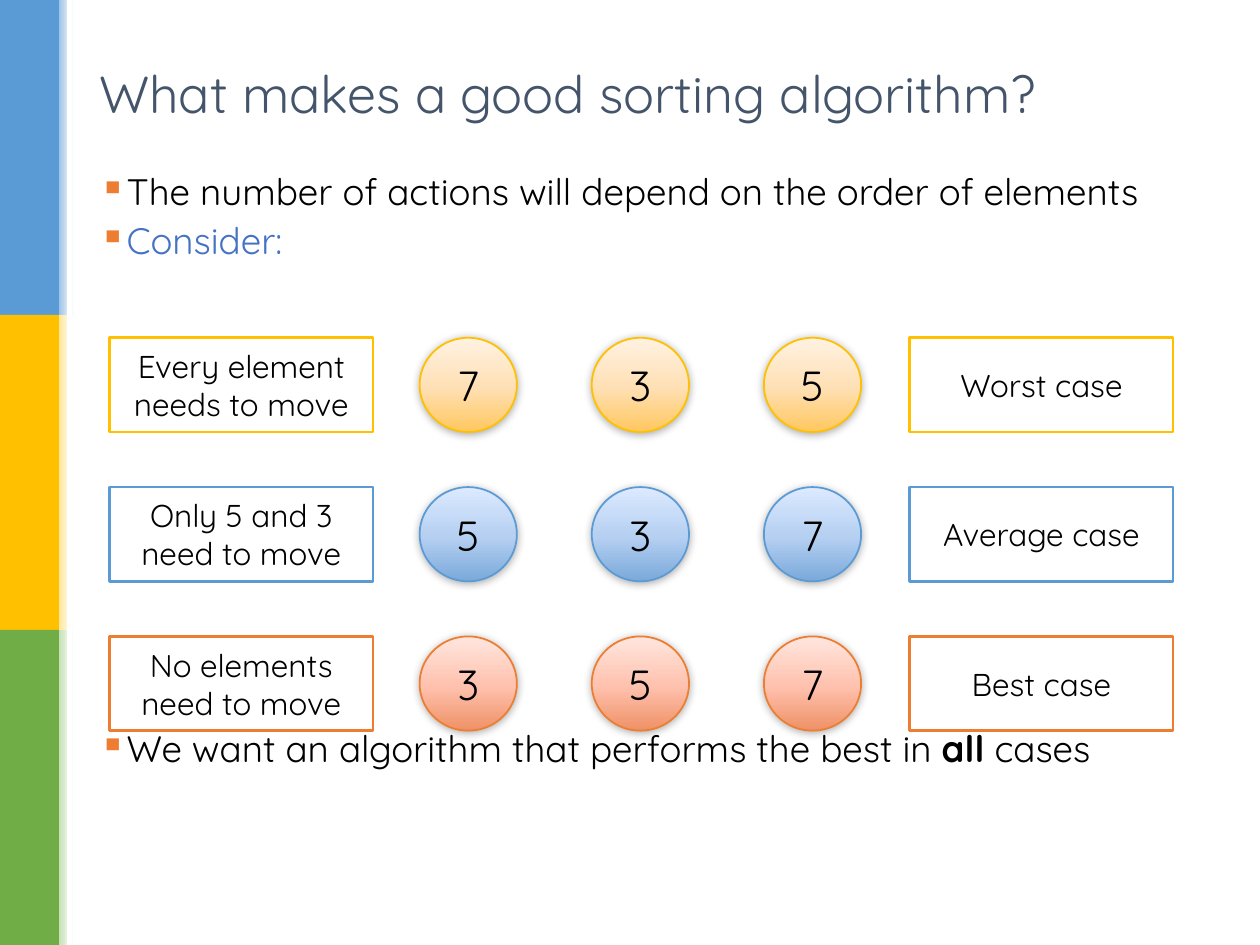
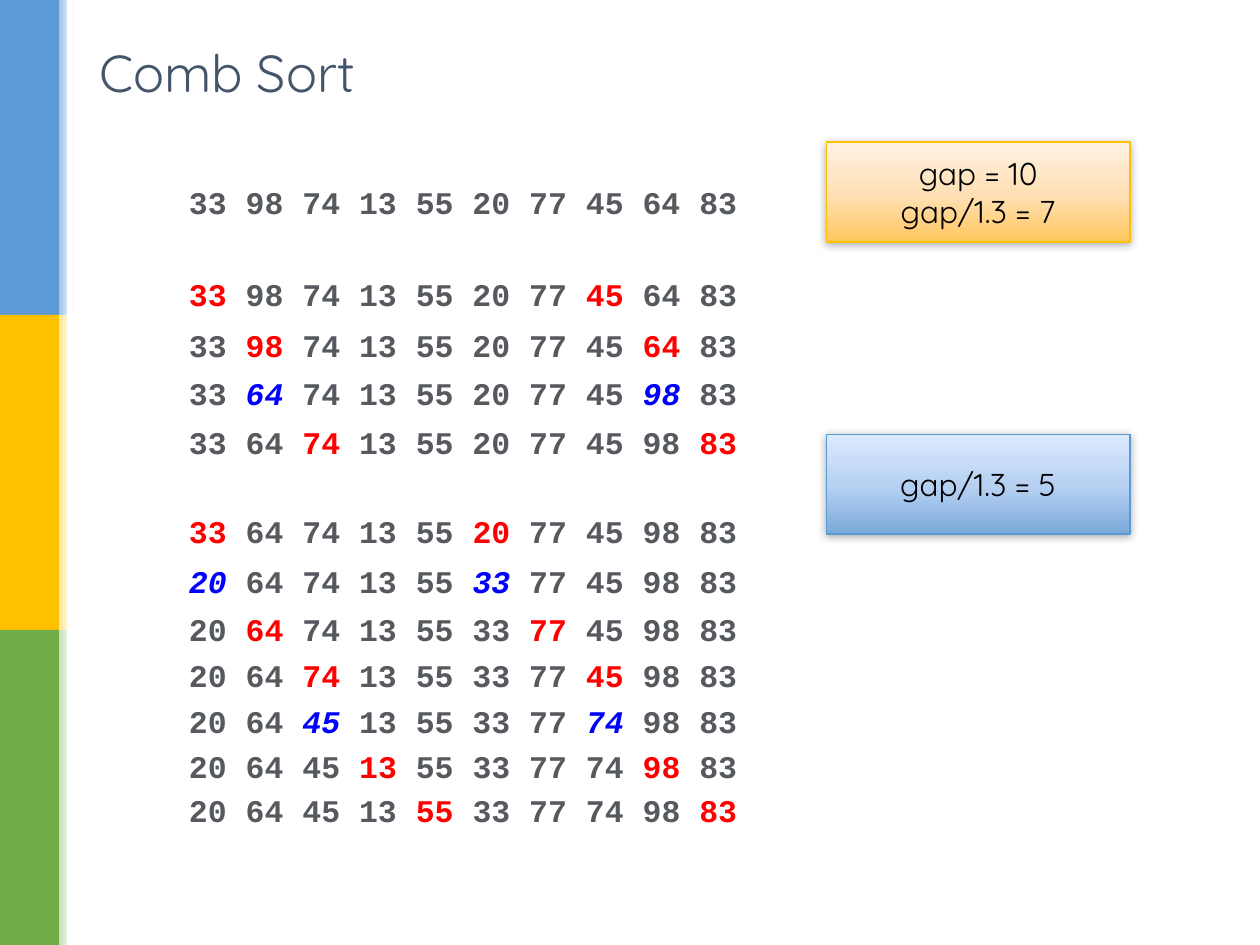
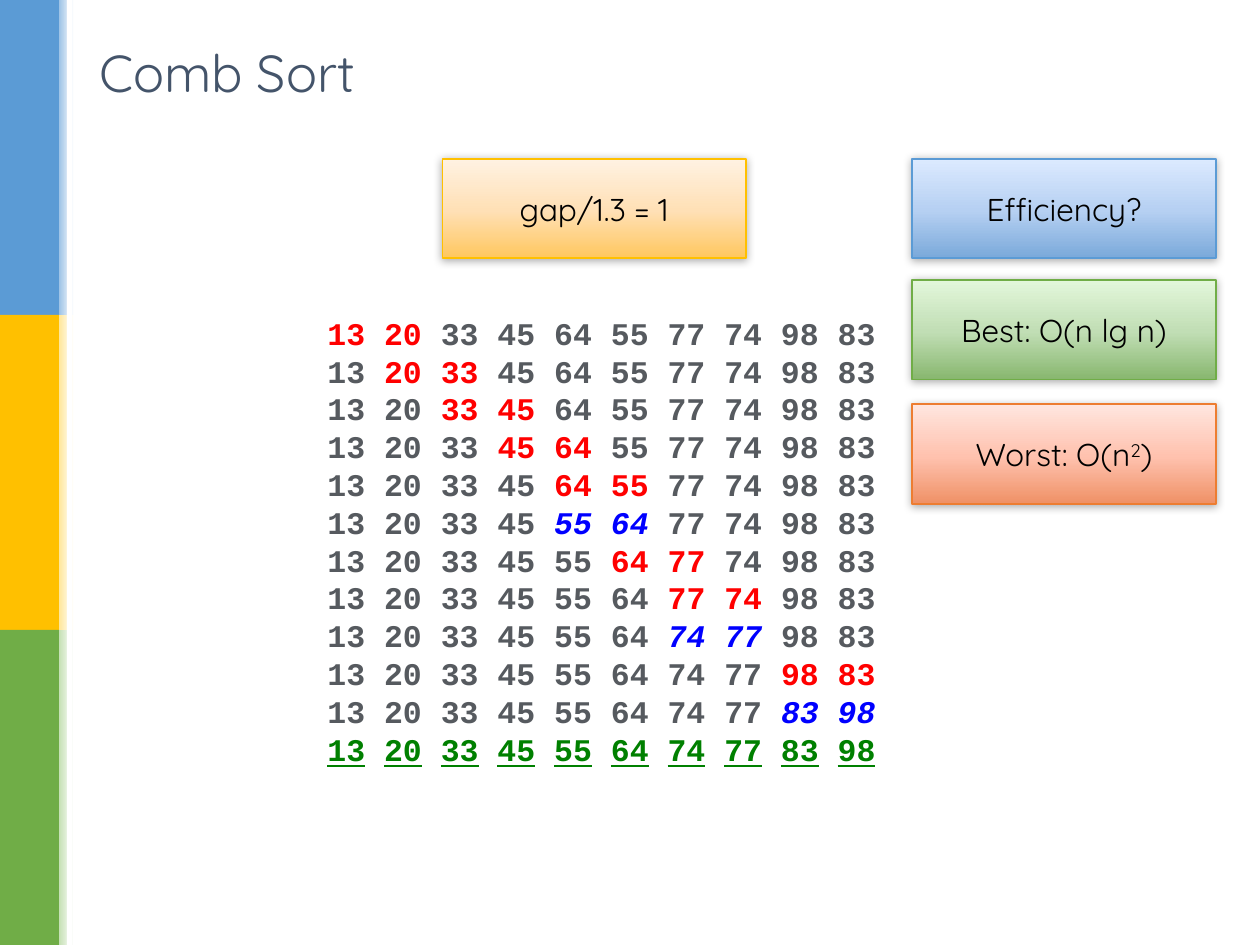
from collections import namedtuple

from lxml.etree import SubElement
from pptx import Presentation
from pptx.dml.color import RGBColor
from pptx.enum.shapes import MSO_SHAPE as Preset
from pptx.enum.text import MSO_ANCHOR as Anchor, PP_ALIGN as Align
from pptx.oxml.ns import qn
from pptx.util import Cm, Pt

WHITE = RGBColor(0xFF, 0xFF, 0xFF)
BLACK = RGBColor(0x00, 0x00, 0x00)
SLATE = RGBColor(0x44, 0x54, 0x6A)
GRAY = RGBColor(0x56, 0x5A, 0x5F)
ACCENT = RGBColor(0x44, 0x72, 0xC4)
COMPARED = RGBColor(0xFF, 0x00, 0x00)
SWAPPED = RGBColor(0x00, 0x00, 0xFF)
SORTED = RGBColor(0x00, 0x80, 0x00)

Tint = namedtuple("Tint", "line dark middle light")
GOLD = Tint(RGBColor(0xFF, 0xC0, 0x00), RGBColor(0xFF, 0xC7, 0x5E),
            RGBColor(0xFF, 0xE0, 0xB6), RGBColor(0xFF, 0xF2, 0xE2))
BLUE = Tint(RGBColor(0x5B, 0x9B, 0xD5), RGBColor(0x7A, 0xA9, 0xDA),
            RGBColor(0xB6, 0xD0, 0xF2), RGBColor(0xDC, 0xEA, 0xFF))
ORANGE = Tint(RGBColor(0xED, 0x7D, 0x31), RGBColor(0xEF, 0x91, 0x66),
              RGBColor(0xFF, 0xC2, 0xAF), RGBColor(0xFF, 0xE6, 0xDF))
GREEN = Tint(RGBColor(0x70, 0xAD, 0x47), RGBColor(0x88, 0xB7, 0x6F),
             RGBColor(0xC1, 0xDE, 0xB5), RGBColor(0xE3, 0xF7, 0xDB))

BANDS = [
    (BLUE.line, RGBColor(0x9D, 0xC3, 0xE6)),
    (GOLD.line, RGBColor(0xFF, 0xE6, 0x99)),
    (GREEN.line, RGBColor(0xC5, 0xE0, 0xB4)),
]
BAND_HEIGHT = 6.35

CASES = [
    (GOLD, "Every element needs to move", "735", "Worst case"),
    (BLUE, "Only 5 and 3 need to move", "537", "Average case"),
    (ORANGE, "No elements need to move", "357", "Best case"),
]

GAP_STEPS = [
    (3.56, "33 98 74 13 55 20 77 45 64 83"),
    (5.41, "!33| 98 74 13 55 20 77 |!45| 64 83"),
    (6.45, "33 |!98| 74 13 55 20 77 45 |!64| 83"),
    (7.42, "33 |~64| 74 13 55 20 77 45 |~98| 83"),
    (8.41, "33 64 |!74| 13 55 20 77 45 98 |!83"),
    (10.19, "!33| 64 74 13 55 |!20| 77 45 98 83"),
    (11.2, "~20| 64 74 13 55 |~33| 77 45 98 83"),
    (12.17, "20 |!64| 74 13 55 33 |!77| 45 98 83"),
    (13.11, "20 64 |!74| 13 55 33 77 |!45| 98 83"),
    (14.02, "20 64 |~45| 13 55 33 77 |~74| 98 83"),
    (14.94, "20 64 45 |!13| 55 33 77 74 |!98| 83"),
    (15.82, "20 64 45 13 |!55| 33 77 74 98 |!83"),
]

LAST_PASS = [
    "!13 20| 33 45 64 55 77 74 98 83",
    "13 |!20 33| 45 64 55 77 74 98 83",
    "13 20 |!33 45| 64 55 77 74 98 83",
    "13 20 33 |!45 64| 55 77 74 98 83",
    "13 20 33 45 |!64 55| 77 74 98 83",
    "13 20 33 45 |~55 64| 77 74 98 83",
    "13 20 33 45 55 |!64 77| 74 98 83",
    "13 20 33 45 55 64 |!77 74| 98 83",
    "13 20 33 45 55 64 |~74 77| 98 83",
    "13 20 33 45 55 64 74 77 |!98 83",
    "13 20 33 45 55 64 74 77 |~83 98",
    "_13| |_20| |_33| |_45| |_55| |_64| |_74| |_77| |_83| |_98",
]


class Deck:
    font = "Quicksand"
    mono = "Courier New"
    marks = "!~_*^"

    def __init__(self):
        self.presentation = Presentation()
        self.presentation.slide_width = Cm(25.4)
        self.presentation.slide_height = Cm(19.05)
        self.slide = None

    def new_slide(self, title, top, height):
        self.slide = self.presentation.slides.add_slide(self.presentation.slide_layouts[6])
        for index, (color, fade) in enumerate(BANDS):
            top_of_band = index * BAND_HEIGHT
            self.block(0, top_of_band, 1.19, BAND_HEIGHT, color)
            strip = self.block(1.19, top_of_band, 0.3, BAND_HEIGHT, color)
            self.gradient(strip, [(0, fade), (100, WHITE)], 0)
        self.block(1.35, 0, 0.1, 3 * BAND_HEIGHT, WHITE)
        text_frame = self.text_box(1.75, top, 21.89, height)
        text_frame.vertical_anchor = Anchor.MIDDLE
        self.put_text(text_frame.paragraphs[0], title, 29.7, SLATE)

    def block(self, left, top, width, height, color, preset=Preset.RECTANGLE):
        shape = self.slide.shapes.add_shape(preset, Cm(left), Cm(top), Cm(width), Cm(height))
        shape.shadow.inherit = False
        shape.fill.solid()
        shape.fill.fore_color.rgb = color
        shape.line.fill.background()
        return shape

    def gradient(self, shape, stops, angle):
        shape.fill.gradient()
        shape.fill.gradient_angle = angle
        stop_list = next(shape._element.spPr.iter(qn("a:gsLst")))
        for stop in list(stop_list):
            stop_list.remove(stop)
        for position, color in stops:
            stop = SubElement(stop_list, qn("a:gs"), pos=str(position * 1000))
            SubElement(stop, qn("a:srgbClr"), val=str(color))

    def drop_shadow(self, shape):
        effects = shape._element.spPr.find(qn("a:effectLst"))
        shadow = SubElement(effects, qn("a:outerShdw"), blurRad=str(Pt(5)), dist=str(Pt(1)),
                            dir="5400000", algn="ctr", rotWithShape="0")
        color = SubElement(shadow, qn("a:srgbClr"), val=str(BLACK))
        SubElement(color, qn("a:alpha"), val="32000")

    def outline(self, shape, color, width):
        shape.line.color.rgb = color
        shape.line.width = Pt(width)

    def label(self, shape, lines, size):
        text_frame = shape.text_frame
        text_frame.word_wrap = True
        text_frame.vertical_anchor = Anchor.MIDDLE
        self.put_lines(text_frame, lines, size, BLACK)
        for paragraph in text_frame.paragraphs:
            paragraph.alignment = Align.CENTER

    def frame(self, left, top, text, tint):
        shape = self.block(left, top, 5.31, 1.9, WHITE)
        self.outline(shape, tint.line, 1.5)
        self.label(shape, [text], 18)

    def glossy(self, left, top, width, height, lines, tint, size=18, preset=Preset.RECTANGLE):
        shape = self.block(left, top, width, height, tint.middle, preset)
        self.gradient(shape, [(0, tint.dark), (48, tint.middle), (100, tint.light)], 90)
        self.outline(shape, tint.line, 1)
        self.drop_shadow(shape)
        self.label(shape, lines, size)

    def ball(self, left, top, number, tint):
        self.glossy(left, top, 1.96, 1.9, [number], tint, 24, Preset.OVAL)

    def card(self, left, top, lines, tint):
        self.glossy(left, top, 6.12, 2.01, lines, tint)

    def text_box(self, left, top, width, height, wrap=True):
        box = self.slide.shapes.add_textbox(Cm(left), Cm(top), Cm(width), Cm(height))
        box.text_frame.word_wrap = wrap
        return box.text_frame

    def bullets(self, top, height, items):
        text_frame = self.text_box(1.75, top, 21.89, height)
        self.put_lines(text_frame, [text for text, color in items], 21, BLACK)
        for paragraph, (text, color) in zip(text_frame.paragraphs, items):
            paragraph.line_spacing = 0.9
            paragraph.space_before = Pt(5.3)
            for run in paragraph.runs:
                run.font.color.rgb = color
            properties = paragraph._p.get_or_add_pPr()
            properties.set("marL", str(Cm(0.48)))
            properties.set("indent", str(-Cm(0.48)))
            bullet_color = SubElement(properties, qn("a:buClr"))
            SubElement(bullet_color, qn("a:srgbClr"), val=str(ORANGE.line))
            SubElement(properties, qn("a:buChar"), char="▪")

    def numbers(self, left, top, width, height, rows, wrap):
        text_frame = self.text_box(left, top, width, height, wrap)
        self.put_lines(text_frame, rows, 18, GRAY, self.mono, True)

    def put_lines(self, text_frame, lines, *style):
        for index, line in enumerate(lines):
            paragraph = text_frame.add_paragraph() if index else text_frame.paragraphs[0]
            self.put_text(paragraph, line, *style)

    def put_text(self, paragraph, text, size, color, name=font, bold=False):
        for segment in text.split("|"):
            mark = segment[0] if segment[0] in self.marks else ""
            run = paragraph.add_run()
            run.text = segment[len(mark):]
            run.font.name = name
            run.font.size = Pt(size)
            run.font.bold = bold or mark == "*"
            run.font.italic = mark == "~"
            run.font.underline = mark == "_"
            run.font.color.rgb = {"!": COMPARED, "~": SWAPPED, "_": SORTED}.get(mark, color)
            if mark == "^":
                run._r.get_or_add_rPr().set("baseline", "30000")


def add_cases(deck):
    deck.new_slide("What makes a good sorting algorithm?", 1.02, 1.68)
    deck.bullets(3.38, 2.4, [
        ("The number of actions will depend on the order of elements", BLACK),
        ("Consider:", ACCENT),
    ])
    deck.bullets(14.61, 1.2, [
        ("We want an algorithm that performs the best in |*all| cases", BLACK),
    ])
    for row, (tint, reason, digits, case) in enumerate(CASES):
        top = 6.81 + 3.01 * row
        deck.frame(2.21, top, reason, tint)
        for column, digit in enumerate(digits):
            deck.ball(8.46 + 3.47 * column, top, digit, tint)
        deck.frame(18.34, top, case, tint)


def add_gap_steps(deck):
    deck.new_slide("Comb Sort", 0.71, 1.47)
    for top, row in GAP_STEPS:
        deck.numbers(3.56, top, 11.61, 1.02, [row], False)
    deck.card(16.66, 2.87, ["gap = 10", "gap/1.3 = 7"], GOLD)
    deck.card(16.66, 8.76, ["gap/1.3 = 5"], BLUE)


def add_last_pass(deck):
    deck.new_slide("Comb Sort", 0.71, 1.47)
    deck.card(8.92, 3.2, ["gap/1.3 = 1"], GOLD)
    deck.numbers(6.35, 6.2, 12.7, 9.5, LAST_PASS, True)
    deck.card(18.39, 3.2, ["Efficiency?"], BLUE)
    deck.card(18.39, 5.64, ["Best: O(n lg n)"], GREEN)
    deck.card(18.39, 8.15, ["Worst: O(n|^2|)"], ORANGE)


def main():
    deck = Deck()
    add_cases(deck)
    add_gap_steps(deck)
    add_last_pass(deck)
    deck.presentation.save("out.pptx")


if __name__ == "__main__":
    main()
